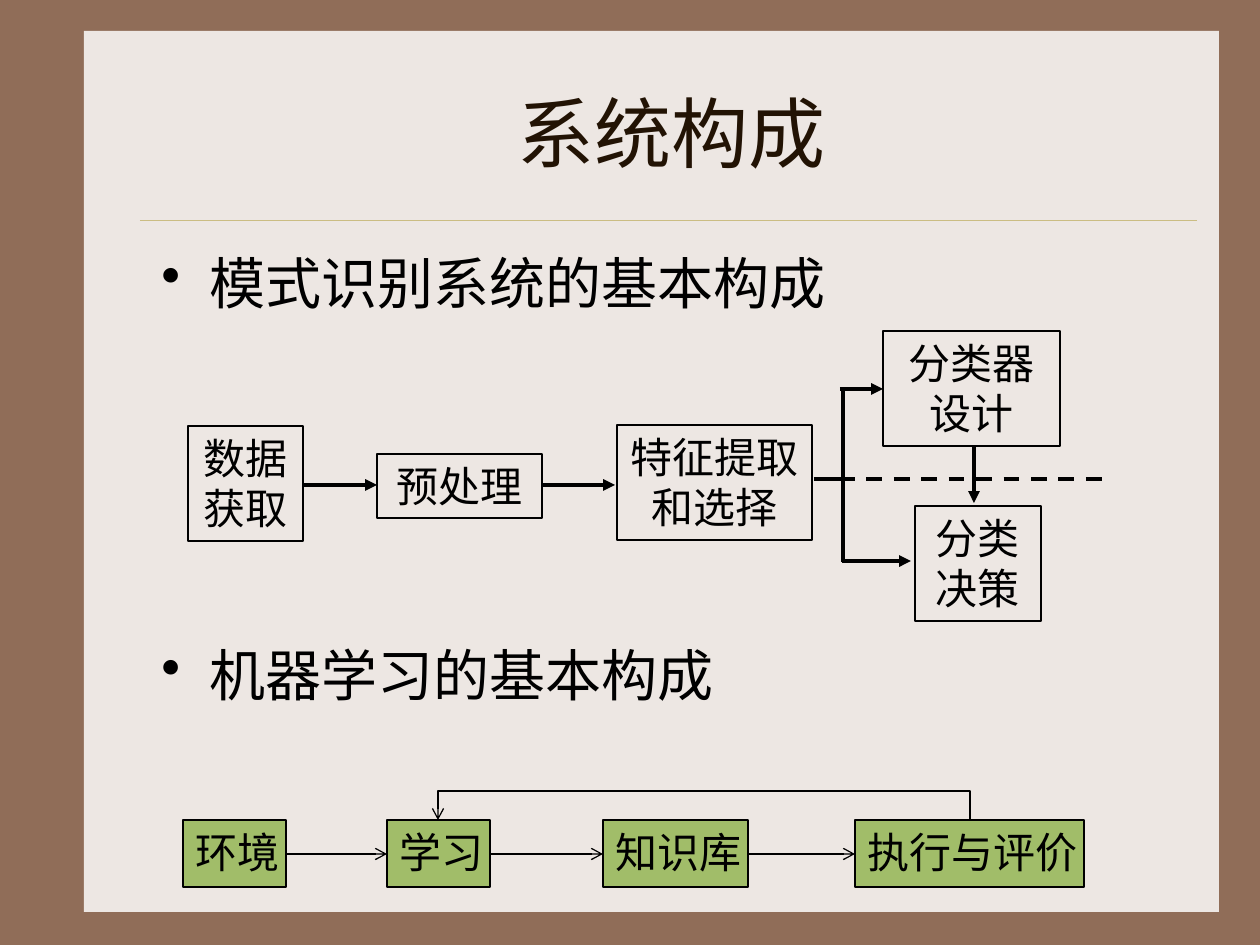
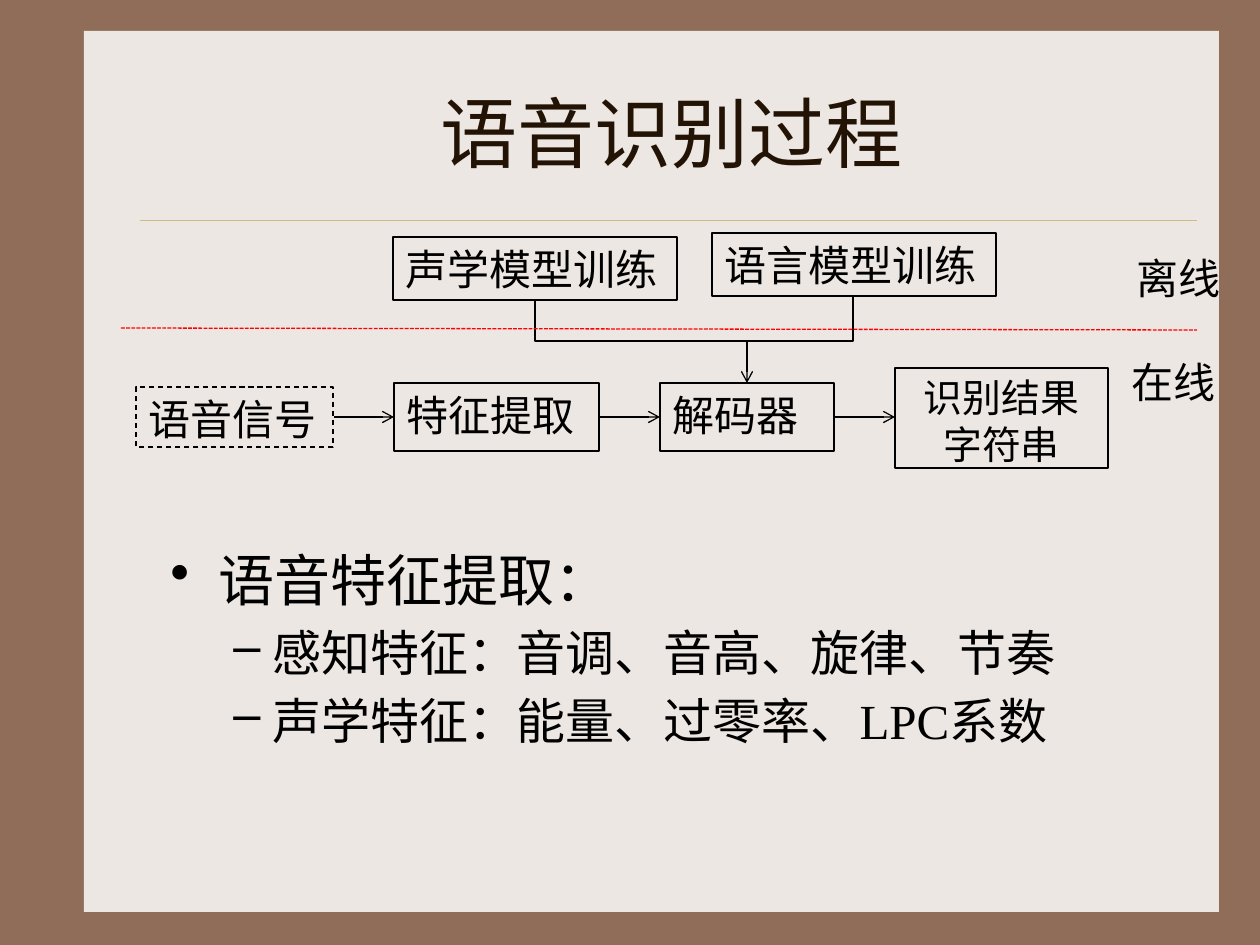
import pptx
import pptx.util
import pptx.dml.color
import pptx.enum.dml
import pptx.enum.shapes
import pptx.enum.text
import pptx.oxml.ns
from lxml import etree

PX = 914400 / 126  # EMU in one px
FONT = "Times New Roman"
COLORS = {"frame": "906D58", "panel": "EDE7E3", "rule": "CBBD83", "title": "221304",
          "ink": "000000", "green": "A1BD69", "red": "FF0000"}
RGB = {name: pptx.dml.color.RGBColor.from_string(code) for name, code in COLORS.items()}
DASH = pptx.enum.dml.MSO_LINE.DASH
SHORT_DASH = pptx.enum.dml.MSO_LINE.SQUARE_DOT
RECT = pptx.enum.shapes.MSO_SHAPE.RECTANGLE
STRAIGHT = pptx.enum.shapes.MSO_CONNECTOR.STRAIGHT
LEFT, CENTER = pptx.enum.text.PP_ALIGN.LEFT, pptx.enum.text.PP_ALIGN.CENTER
qn = pptx.oxml.ns.qn


def write(tf, text, size=24, color="ink", align=LEFT, before=0, bullet=None, margin=0, hang=0):
    """Fill the first paragraph of a frame, or add one after it."""
    p = tf.paragraphs[-1] if not tf.text else tf.add_paragraph()
    p.alignment = align
    p.space_before = pptx.util.Pt(before)
    r = p.add_run()
    r.text = text
    r.font.name = FONT
    r.font.size = pptx.util.Pt(size)
    r.font.color.rgb = RGB[color]
    if bullet:
        pPr = p._p.get_or_add_pPr()
        pPr.set("marL", str(int(margin * PX)))
        pPr.set("indent", str(int(-hang * PX)))
        etree.SubElement(pPr, qn("a:buChar")).set("char", bullet)


def line(s, points, width=0.75, color="ink", dash=None, head=None):
    """Draw a straight connector, or an open bent line through more points."""
    if len(points) == 2:
        c = s.shapes.add_connector(STRAIGHT, *[int(v * PX) for xy in points for v in xy])
    else:
        builder = s.shapes.build_freeform(*points[0], scale=PX)
        c = builder.add_line_segments(points[1:], close=False).convert_to_shape()
        c.fill.background()
    c.line.color.rgb = RGB[color]
    c.line.width = pptx.util.Pt(width)
    if dash:
        c.line.dash_style = dash
    spPr = c.element.spPr
    if head:
        etree.SubElement(spPr.find(qn("a:ln")), qn("a:tailEnd")).set("type", head)
    etree.SubElement(spPr, qn("a:effectLst"))


# Formats of bullets, boxes and lines
main_bullet = dict(size=32, bullet="•", margin=48, hang=48)
sub_bullet = dict(size=28, bullet="–", margin=102, hang=39, before=5.6)
wrapped = dict(wrap=True, align=CENTER)
green = dict(fill="green")
plain = dict()
dashed = dict(dash=DASH)
result = dict(size=22.2, align=CENTER)
label = dict(outline=False)
thick = dict(width=2.25)
thick_arrow = dict(width=2.25, head="triangle")
thin_arrow = dict(head="arrow")

slides = [
    dict(
        title="系统构成",
        body=(149, 242, 1050, 567),
        bullets=[("模式识别系统的基本构成", main_bullet),
                 ("机器学习的基本构成", dict(main_bullet, before=186))],
        boxes=[
            ("数据获取", 188, 426, 115, 115, wrapped),
            ("预处理", 377, 454, 165, 64, wrapped),
            ("特征提取和选择", 617, 425, 195, 115, wrapped),
            ("分类器设计", 883, 331, 177, 115, wrapped),
            ("分类决策", 915, 506, 126, 115, wrapped),
            ("环境", 183, 820, 103, 67, green),
            ("学习", 387, 820, 103, 67, green),
            ("知识库", 603, 820, 145, 67, green),
            ("执行与评价", 855, 820, 229, 67, green),
        ],
        lines=[
            ([(303, 485), (377, 485)], thick_arrow),
            ([(542, 485), (615, 485)], thick_arrow),
            ([(814, 479), (843, 479)], thick),
            ([(843, 389), (843, 562)], thick),
            ([(840, 389), (883, 389)], thick_arrow),
            ([(842, 561), (911, 561)], thick_arrow),
            ([(839, 479), (1108, 479)], dict(thick, dash=DASH)),
            ([(974, 446), (974, 503)], thick_arrow),
            ([(286, 854), (387, 854)], thin_arrow),
            ([(490, 854), (603, 854)], thin_arrow),
            ([(748, 854), (855, 854)], thin_arrow),
            ([(970, 820), (970, 791), (438, 791), (438, 820)], thin_arrow),
        ],
    ),
    dict(
        title="语音识别过程",
        body=(158, 539, 1050, 341),
        bullets=[("语音特征提取：", main_bullet),
                 ("感知特征：音调、音高、旋律、节奏", sub_bullet),
                 ("声学特征：能量、过零率、LPC系数", sub_bullet)],
        boxes=[
            ("声学模型训练", 393, 237, 284, 63, plain),
            ("语言模型训练", 712, 233, 284, 63, plain),
            ("语音信号", 136, 387, 197, 60, dashed),
            ("特征提取", 394, 383, 205, 68, plain),
            ("解码器", 660, 383, 174, 68, plain),
            ("识别结果\n字符串", 895, 368, 213, 100, result),
            ("离线", 1124, 246, 112, 60, label),
            ("在线", 1119, 350, 112, 60, label),
        ],
        lines=[
            ([(334, 417), (394, 417)], thin_arrow),
            ([(599, 417), (660, 417)], thin_arrow),
            ([(834, 417), (895, 417)], thin_arrow),
            ([(535, 300), (535, 341), (747, 341), (747, 383)], thin_arrow),
            ([(853, 296), (853, 341), (719, 341)], plain),
            ([(121, 328), (1197, 330)], dict(color="red", dash=SHORT_DASH)),
        ],
    ),
]

prs = pptx.Presentation()
prs.slide_width, prs.slide_height = pptx.util.Inches(10), pptx.util.Inches(7.5)
background = prs.slide_master.background.fill
background.solid()
background.fore_color.rgb = RGB["frame"]

for content in slides:
    s = prs.slides.add_slide(prs.slide_layouts.get_by_name("Title Only"))

    # Panel and rule under the title
    panel = s.shapes.add_shape(RECT, *[int(v * PX) for v in (84, 31, 1135, 881)])
    panel.shadow.inherit = False
    panel.fill.solid()
    panel.fill.fore_color.rgb = RGB["panel"]
    panel.line.fill.background()
    line(s, [(140, 220), (1197, 220)], width=0.25, color="rule")

    # Title, lifted in front of the panel
    title = s.shapes.title
    title.left, title.top, title.width, title.height = [int(v * PX) for v in (147, 53, 1050, 157)]
    title.text_frame.vertical_anchor = pptx.enum.text.MSO_ANCHOR.MIDDLE
    write(title.text_frame, content["title"], size=44, color="title", align=CENTER)
    title.element.getparent().append(title.element)

    # Bullets
    body = s.shapes.add_textbox(*[int(v * PX) for v in content["body"]])
    body.text_frame.word_wrap = True
    for text, style in content["bullets"]:
        write(body.text_frame, text, **style)

    # Boxes and labels
    for text, x, y, w, h, style in content["boxes"]:
        place = [int(v * PX) for v in (x, y, w, h)]
        if style.get("outline", True):
            sp = s.shapes.add_shape(RECT, *place)
            sp.shadow.inherit = False
            sp.line.color.rgb = RGB["ink"]
            sp.line.width = pptx.util.Pt(0.75)
            if "dash" in style:
                sp.line.dash_style = style["dash"]
            if "fill" in style:
                sp.fill.solid()
                sp.fill.fore_color.rgb = RGB[style["fill"]]
            else:
                sp.fill.background()
        else:
            sp = s.shapes.add_textbox(*place)
        tf = sp.text_frame
        tf.word_wrap = style.get("wrap", False)
        tf.vertical_anchor = pptx.enum.text.MSO_ANCHOR.TOP
        for part in text.split("\n"):
            write(tf, part, size=style.get("size", 24), align=style.get("align", LEFT))

    # Lines and arrows
    for points, style in content["lines"]:
        line(s, points, **style)

prs.save("out.pptx")
